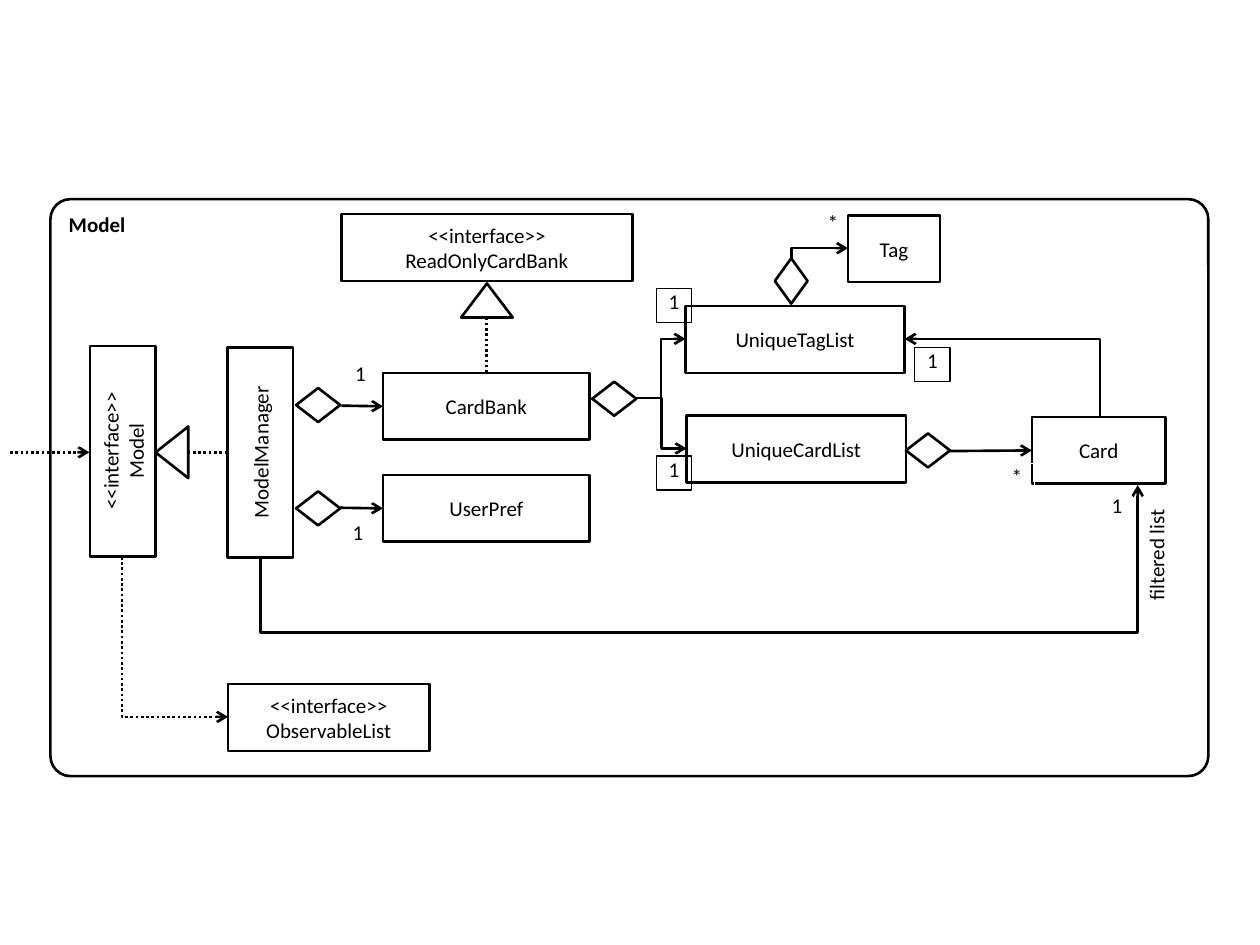
from dataclasses import dataclass
from typing import Any, Optional

from lxml.etree import SubElement
from pptx import Presentation
from pptx.dml.color import RGBColor
from pptx.enum.dml import MSO_LINE
from pptx.enum.shapes import MSO_CONNECTOR, MSO_SHAPE
from pptx.enum.text import MSO_ANCHOR, PP_ALIGN
from pptx.oxml.ns import qn
from pptx.util import Emu, Pt

SCALE = 9144


@dataclass(frozen=True)
class Theme:
    """Colours, font and sizes of the diagram."""
    ink: RGBColor = RGBColor(0, 0, 0)
    paper: RGBColor = RGBColor(255, 255, 255)
    font: str = "Calibri"
    size: Pt = Pt(12)
    bold_line: Pt = Pt(1.5)
    thin_line: Pt = Pt(0.75)


THEME = Theme()


@dataclass(frozen=True)
class Box:
    """A class box, symbol or frame; lengths in px."""
    text: str
    left: int
    top: int
    width: int
    height: int
    turn: int = 0
    kind: MSO_SHAPE = MSO_SHAPE.RECTANGLE


@dataclass(frozen=True)
class Mark:
    """A small label beside a line."""
    text: str
    left: int
    top: int
    width: int = 28
    framed: bool = False


@dataclass(frozen=True)
class Link:
    """A line between two points, joined to a box side if one is named."""
    start: tuple[int, int]
    end: tuple[int, int]
    goal: str = ""
    side: int = 1
    dotted: bool = False
    arrow: bool = True
    bend: int = 0
    turn: int = 0
    adjust: tuple[int, ...] = ()


def px(count: float) -> Emu:
    """Turn px into EMU."""
    return Emu(round(count * SCALE))


def style(item: Any, values: dict[str, Any]) -> None:
    """Set each named attribute on the item."""
    for name, value in values.items():
        setattr(item, name, value)


def write(shape: Any, text: str, align: PP_ALIGN, anchor: MSO_ANCHOR,
          bold: bool = False, inset: Optional[int] = None) -> None:
    """Fill a shape with formatted text."""
    frame = shape.text_frame
    frame.text = text
    style(frame, {"word_wrap": True, "vertical_anchor": anchor})
    if inset is not None:
        style(frame, {f"margin_{side}": px(inset) for side in ("left", "top", "right", "bottom")})
    for para in frame.paragraphs:
        para.alignment = align
        for run in para.runs:
            style(run.font, {"name": THEME.font, "size": THEME.size, "bold": bold})
            run.font.color.rgb = THEME.ink


def outline(shapes: Any, box: Box, color: RGBColor, width: Pt) -> Any:
    """Draw an unfilled shape with a plain line."""
    shape = shapes.add_shape(box.kind, px(box.left), px(box.top), px(box.width), px(box.height))
    shape.rotation = box.turn
    shape.shadow.inherit = False
    shape.fill.background()
    shape.line.color.rgb = color
    shape.line.width = width
    return shape


def draw_box(shapes: Any, box: Box) -> Any:
    """Draw a class box or a symbol."""
    shape = outline(shapes, box, THEME.ink, THEME.bold_line)
    if box.text:
        write(shape, box.text, PP_ALIGN.CENTER, MSO_ANCHOR.MIDDLE)
    return shape


def draw_mark(shapes: Any, mark: Mark) -> None:
    """Draw a label with a thin frame."""
    color = THEME.ink if mark.framed else THEME.paper
    shape = outline(shapes, Box("", mark.left, mark.top, mark.width, 27), color, THEME.thin_line)
    write(shape, mark.text, PP_ALIGN.CENTER, MSO_ANCHOR.TOP, inset=0)


def draw_link(shapes: Any, link: Link, boxes: dict[str, Any]) -> None:
    """Draw a straight or bent connector; a turned one leaves upright."""
    (x1, y1), (x2, y2) = link.start, link.end
    if link.turn:
        mid_x, mid_y = (x1 + x2) / 2, (y1 + y2) / 2
        half_x, half_y = (x2 - x1) / 2, (y2 - y1) / 2
        x1, y1, x2, y2 = mid_x - half_y, mid_y + half_x, mid_x + half_y, mid_y - half_x
    kind = MSO_CONNECTOR.ELBOW if link.bend else MSO_CONNECTOR.STRAIGHT
    line = shapes.add_connector(kind, px(x1), px(y1), px(x2), px(y2))
    if link.goal:
        line.end_connect(boxes[link.goal], link.side)
    line.line.color.rgb = THEME.ink
    line.line.width = THEME.bold_line
    if link.dotted:
        line.line.dash_style = MSO_LINE.ROUND_DOT
    props = line._element.spPr
    if link.bend:
        shape = props.find(qn("a:prstGeom"))
        shape.set("prst", f"bentConnector{link.bend}")
        for index, value in enumerate(link.adjust, 1):
            SubElement(shape.find(qn("a:avLst")), qn("a:gd"), name=f"adj{index}", fmla=f"val {value}")
    if link.turn:
        props.find(qn("a:xfrm")).set("rot", str(link.turn * 60000))
    if link.arrow:
        SubElement(props.find(qn("a:ln")), qn("a:tailEnd"), type="arrow")
    SubElement(props, qn("a:effectLst"))


DIAMOND = MSO_SHAPE.FLOWCHART_DECISION
PEAK = MSO_SHAPE.ISOSCELES_TRIANGLE
FRAME = Box("Model", 40, 158, 919, 458, kind=MSO_SHAPE.ROUNDED_RECTANGLE)
FILTER = Box("filtered list", 850, 447, 135, 30, 270)
BOXES = [
    Box("UserPref", 304, 377, 164, 53),
    Box("ModelManager", 123, 333, 167, 52, 270),
    Box("<<interface>>\nModel", 14, 332, 167, 52, 270),
    Box("CardBank", 304, 296, 164, 53),
    Box("UniqueCardList", 545, 330, 174, 53),
    Box("UniqueTagList", 544, 243, 174, 53),
    Box("Card", 819, 331, 106, 53),
    Box("Tag", 673, 171, 73, 53),
    Box("<<interface>>\vReadOnlyCardBank", 271, 170, 231, 53),
    Box("<<interface>>\vObservableList", 181, 543, 160, 53),
]
SIGNS = [
    Box("", 116, 346, 41, 26, 270, PEAK),
    Box("", 366, 225, 41, 27, 0, PEAK),
    Box("", 610, 210, 36, 26, 270, DIAMOND),
    *(Box("", left, top, 35, 27, 0, DIAMOND)
      for left, top in ((235, 390), (235, 308), (470, 303), (719, 344))),
]
LINKS = [
    Link((270, 403), (304, 404), "UserPref"),
    Link((271, 322), (304, 323), "CardBank"),
    Link((754, 358), (819, 358), "Card"),
    Link((386, 252), (386, 296), "CardBank", 0, dotted=True, arrow=False),
    Link((8, 359), (71, 359), dotted=True),
    Link((149, 359), (182, 359), dotted=True, arrow=False),
    Link((505, 316), (545, 356), bend=3),
    Link((505, 316), (544, 269), bend=3),
    Link((628, 205), (673, 197), bend=2, turn=90),
    Link((97, 442), (181, 569), dotted=True, bend=2, turn=90),
    Link((873, 331), (718, 269), bend=2, turn=90),
    Link((207, 443), (903, 385), bend=4, turn=90, adjust=(-101800, 100000)),
]
UNDER = [Mark("1", 877, 391, 19), Mark("*", 647, 166)]
MARKS = [
    *(Mark("1", left, top, framed=True) for left, top in ((521, 229), (521, 362), (726, 276))),
    Mark("*", 793, 368),
    Mark("1", 272, 286),
    Mark("1", 270, 412),
]


def main() -> None:
    """Build the slide and save it."""
    deck = Presentation()
    style(deck, {"slide_width": px(1000), "slide_height": px(750)})
    shapes = deck.slides.add_slide(deck.slide_layouts[6]).shapes
    label = outline(shapes, FILTER, THEME.paper, THEME.thin_line)
    write(label, FILTER.text, PP_ALIGN.RIGHT, MSO_ANCHOR.TOP)
    for mark in UNDER:
        draw_mark(shapes, mark)
    frame = outline(shapes, FRAME, THEME.ink, THEME.bold_line)
    frame.adjustments[0] = 0.035
    write(frame, FRAME.text, PP_ALIGN.LEFT, MSO_ANCHOR.TOP, bold=True)
    boxes = {box.text: draw_box(shapes, box) for box in BOXES}
    for sign in SIGNS:
        draw_box(shapes, sign)
    for link in LINKS:
        draw_link(shapes, link, boxes)
    for mark in MARKS:
        draw_mark(shapes, mark)


    deck.save("out.pptx")


if __name__ == "__main__":
    main()
